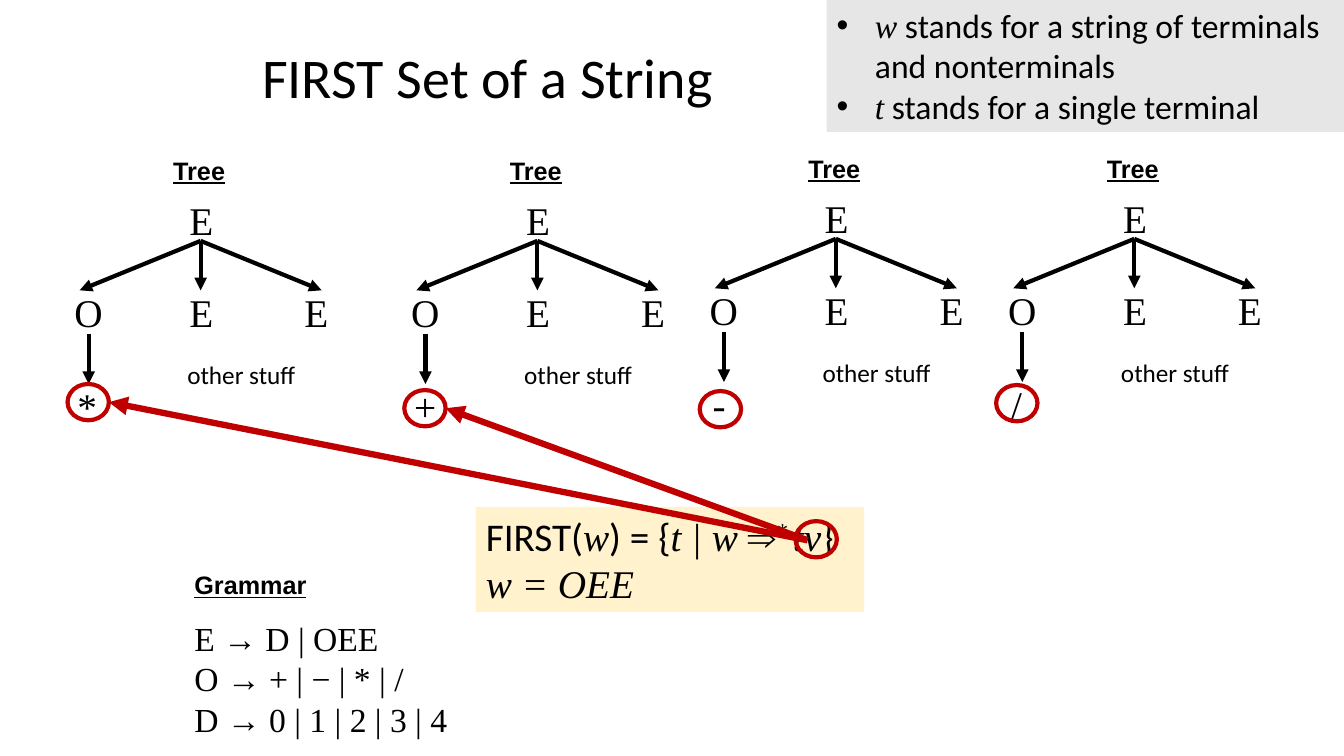
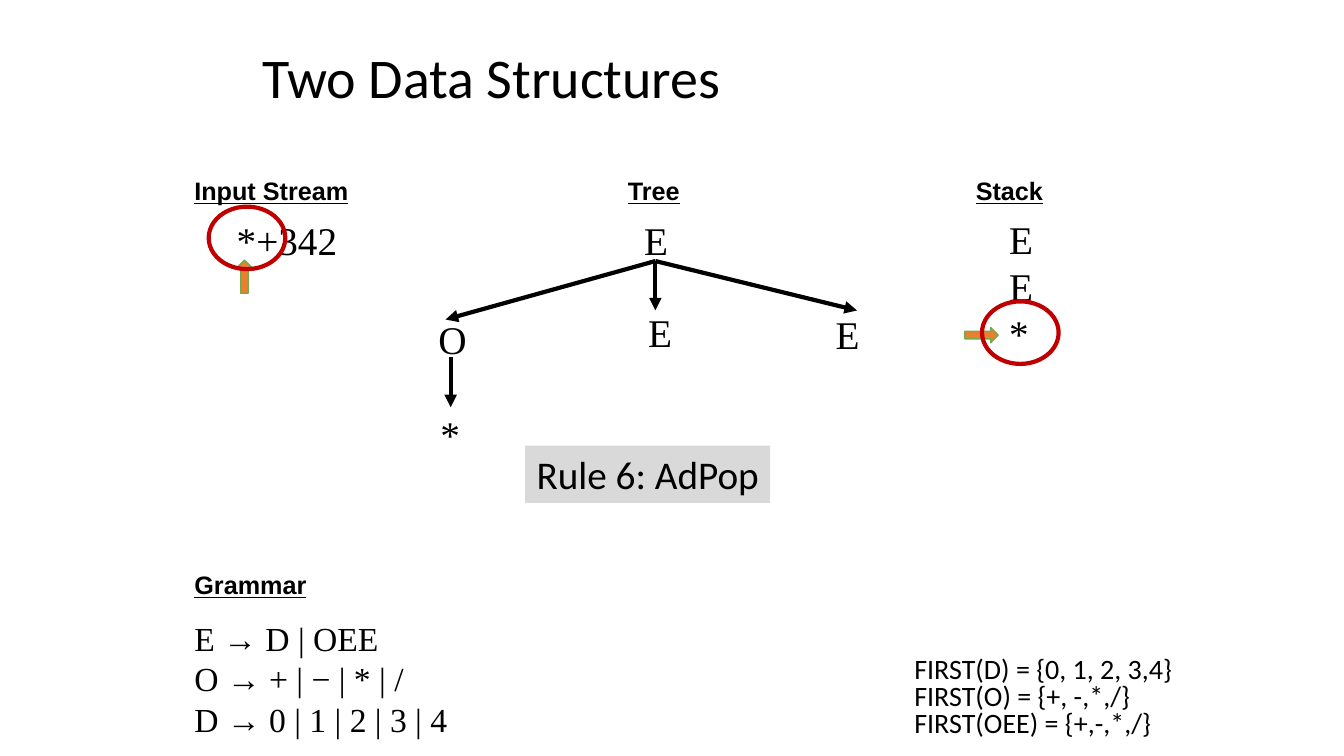
from dataclasses import dataclass

from lxml import etree
from pptx import Presentation
from pptx import util as u
from pptx.dml.color import RGBColor
from pptx.enum import shapes as kinds, text
from pptx.oxml.ns import qn


@dataclass(frozen=True)
class Style:
    font: str
    size: int
    bold: bool = False
    italic: bool = False
    underline: bool = False
    baseline: int = 0


@dataclass(frozen=True)
class Theme:
    ink: str = "000000"
    accent: str = "C00000"
    note_fill: str = "E7E6E6"
    formula_fill: str = "FFF2CC"
    rule_fill: str = "D9D9D9"
    pointer_fill: str = "ED7D31"
    pointer_line: str = "70AD47"
    title: Style = Style("Calibri", 40)
    heading: Style = Style("Arial", 18, bold=True, underline=True)
    symbol: Style = Style("Times New Roman", 28)
    grammar: Style = Style("Times New Roman", 24)
    small: Style = Style("Calibri", 18)
    first_sets: Style = Style("Calibri", 20)
    large: Style = Style("Calibri", 28)
    variable: Style = Style("Times New Roman", 28, italic=True)
    superscript: Style = Style("Times New Roman", 28, italic=True, baseline=30000)
    note: Style = Style("Calibri", 24)
    note_variable: Style = Style("Times New Roman", 24, italic=True)


@dataclass(frozen=True)
class TreeLayout:
    children: tuple
    stem: tuple
    leaf: tuple


THEME = Theme()
COMPACT_TREE = TreeLayout(
    children=(("O", (-1.2, 1.39), (-1.35, 1.32)),
              ("E", (0, 1.39), (-0.21, 1.32)),
              ("E", (1.2, 1.39), (0.93, 1.32))),
    stem=(-1.11, 1.82), leaf=(-1.32, 2.25))
WIDE_TREE = TreeLayout(
    children=(("O", (-2.08, 1.48), (-2.25, 1.39)),
              ("E", (0, 1.39), (-0.17, 1.32)),
              ("E", (2, 1.39), (1.69, 1.34))),
    stem=(-2.03, 1.85), leaf=(-2.23, 2.33))
CIRCLE = (0.41, 0.36)
MARKER = (0.76, 0.62)


def inches(*lengths):
    return [u.Inches(length) for length in lengths]


def color(value):
    return RGBColor.from_string(value)


def apply_style(font, style):
    font.name = style.font
    font.size = u.Pt(style.size)
    font.bold = style.bold
    font.italic = style.italic
    font.underline = style.underline
    font.color.rgb = color(THEME.ink)
    if style.baseline:
        font._element.set("baseline", str(style.baseline))


def write_lines(frame, lines, style=None, spacing=None):
    for index, line in enumerate(lines):
        paragraph = frame.add_paragraph() if index else frame.paragraphs[0]
        paragraph.alignment = text.PP_ALIGN.LEFT
        if spacing:
            paragraph.line_spacing = spacing
        if style:
            paragraph.add_run().text = line
            apply_style(paragraph.font, style)
        else:
            for words, run_style in line:
                run = paragraph.add_run()
                run.text = words
                apply_style(run.font, run_style)


def add_text(shapes, box, lines, style, spacing=None):
    frame = shapes.add_textbox(*inches(*box)).text_frame
    frame.word_wrap = True
    write_lines(frame, lines, style, spacing)


def add_heading(shapes, left, top, words):
    add_text(shapes, (left, top, 2, 0.4), [words], THEME.heading)


def add_symbol(shapes, left, top, symbol):
    add_text(shapes, (left, top, 0.5, 0.57), [symbol], THEME.symbol)


def add_arrow(shapes, start, end, line_color=THEME.ink, width=3):
    arrow = shapes.add_connector(kinds.MSO_CONNECTOR.STRAIGHT, *inches(*start, *end))
    arrow.line.color.rgb = color(line_color)
    arrow.line.width = u.Pt(width)
    etree.SubElement(arrow.line._get_or_add_ln(), qn("a:tailEnd"), type="triangle")
    etree.SubElement(arrow._element.spPr, qn("a:effectLst"))


def add_shape(shapes, kind, box, fill=None, line=None, width=1):
    shape = shapes.add_shape(kind, *inches(*box))
    shape.shadow.inherit = False
    if fill:
        shape.fill.solid()
        shape.fill.fore_color.rgb = color(fill)
    else:
        shape.fill.background()
    if line:
        shape.line.color.rgb = color(line)
        shape.line.width = u.Pt(width)
    else:
        shape.line.fill.background()
    return shape


def add_ring(shapes, left, top, size):
    add_shape(shapes, kinds.MSO_SHAPE.OVAL, (left, top, *size), line=THEME.accent, width=3)


def add_panel(shapes, box, fill, lines, style=None):
    frame = add_shape(shapes, kinds.MSO_SHAPE.RECTANGLE, box, fill).text_frame
    frame.word_wrap = True
    frame.vertical_anchor = text.MSO_ANCHOR.TOP
    write_lines(frame, lines, style)
    return frame


def add_bullets(frame):
    for paragraph in frame.paragraphs:
        properties = paragraph._p.get_or_add_pPr()
        properties.set("marL", str(u.Inches(0.38)))
        properties.set("indent", str(-u.Inches(0.38)))
        etree.SubElement(properties, qn("a:buFont"), typeface="Arial")
        etree.SubElement(properties, qn("a:buChar"), char="•")


def add_pointer(shapes, left, top, rotation=0):
    pointer = add_shape(shapes, kinds.MSO_SHAPE.UP_ARROW, (left, top, 0.15, 0.33),
                        THEME.pointer_fill, THEME.pointer_line)
    pointer.rotation = rotation


def add_tree(shapes, root_x, top, layout, leaf):
    def place(offset):
        return root_x + offset[0], top + offset[1]

    add_heading(shapes, *place((-0.37, 0)), "Tree")
    add_symbol(shapes, *place((-0.21, 0.41)), "E")
    for symbol, tip, label in layout.children:
        add_arrow(shapes, place((0, 0.9)), place(tip))
        add_symbol(shapes, *place(label), symbol)
    stem_x, stem_y = place(layout.stem)
    add_arrow(shapes, (stem_x, stem_y), (stem_x, stem_y + 0.5))
    add_symbol(shapes, *place(layout.leaf), leaf)


def add_grammar_slide(presentation, title):
    slide = presentation.slides.add_slide(presentation.slide_layouts[5])
    shape = slide.shapes.title
    shape.left, shape.top, shape.width, shape.height = inches(2.5, 0.17, 8.5, 1.25)
    shape.text_frame.vertical_anchor = text.MSO_ANCHOR.MIDDLE
    write_lines(shape.text_frame, [title], THEME.title, 0.9)
    add_heading(slide.shapes, 1.83, 5.6, "Grammar")
    add_text(slide.shapes, (1.83, 6.08, 2.92, 1.31),
             ["E → D | OEE", "O → + | − | * | /", "D → 0 | 1 | 2 | 3 | 4"],
             THEME.grammar)
    return slide


def build_first_set(presentation):
    shapes = add_grammar_slide(presentation, "FIRST Set of a String").shapes
    trees = (("*", 1.99, 1.49, (0.67, 3.81)), ("+", 5.33, 1.49, (4.01, 3.87)),
             ("-", 8.29, 1.47, (6.94, 3.88)), ("/", 11.25, 1.47, (9.88, 3.82)))
    for leaf, root_x, top, ring in trees:
        group = shapes.add_group_shape().shapes
        add_tree(group, root_x, top, COMPACT_TREE, leaf)
        add_text(group, (root_x - 0.23, top + 2.03, 1.4, 0.4), ["other stuff"], THEME.small)
        add_ring(shapes, *ring, CIRCLE)
    add_panel(shapes, (4.72, 5.03, 3.85, 1.04), THEME.formula_fill, [
        [("FIRST(", THEME.large), ("w", THEME.variable), (") = {", THEME.large),
         ("t | w ⇒", THEME.variable), ("* ", THEME.superscript),
         ("tv", THEME.variable), ("}", THEME.large)],
        [("w = OEE", THEME.variable)]])
    for tip in ((1.08, 3.99), (4.42, 4.05)):
        add_arrow(shapes, (8.01, 5.36), tip, THEME.accent, 4.5)
    add_ring(shapes, 7.89, 5.17, CIRCLE)
    note = add_panel(shapes, (8.2, 0, 5.13, 1.31), THEME.note_fill, [
        [("w", THEME.note_variable),
         (" stands for a string of terminals and nonterminals", THEME.note)],
        [("t", THEME.note_variable), (" stands for a single terminal", THEME.note)]])
    add_bullets(note)


def build_data_structures(presentation):
    shapes = add_grammar_slide(presentation, "Two Data Structures").shapes
    add_heading(shapes, 1.83, 1.69, "Input Stream")
    add_text(shapes, (2.25, 2.1, 1.3, 0.57), ["*+342"], THEME.symbol)
    add_heading(shapes, 9.58, 1.69, "Stack")
    add_text(shapes, (9.91, 2.09, 0.5, 1.51), ["E", "E", "*"], THEME.symbol)
    add_pointer(shapes, 9.66, 3.16, rotation=90)
    add_pointer(shapes, 2.35, 2.58)
    add_tree(shapes, 6.5, 1.69, WIDE_TREE, "*")
    add_ring(shapes, 2.07, 2.05, MARKER)
    add_ring(shapes, 9.74, 2.99, MARKER)
    rule = add_panel(shapes, (5.21, 4.42, 2.43, 0.57), THEME.rule_fill,
                     ["Rule 6: AdPop"], THEME.large)
    rule.word_wrap = False
    rule.paragraphs[0].alignment = text.PP_ALIGN.CENTER
    add_text(shapes, (8.97, 6.48, 2.9, 0.92),
             ["FIRST(D) = {0, 1, 2, 3,4}", "FIRST(O) = {+, -,*,/}", "FIRST(OEE) = {+,-,*,/}"],
             THEME.first_sets, 0.8)


def main():
    presentation = Presentation()
    presentation.slide_width, presentation.slide_height = inches(13.33, 7.5)
    build_first_set(presentation)
    build_data_structures(presentation)
    presentation.save("out.pptx")


if __name__ == "__main__":
    main()
